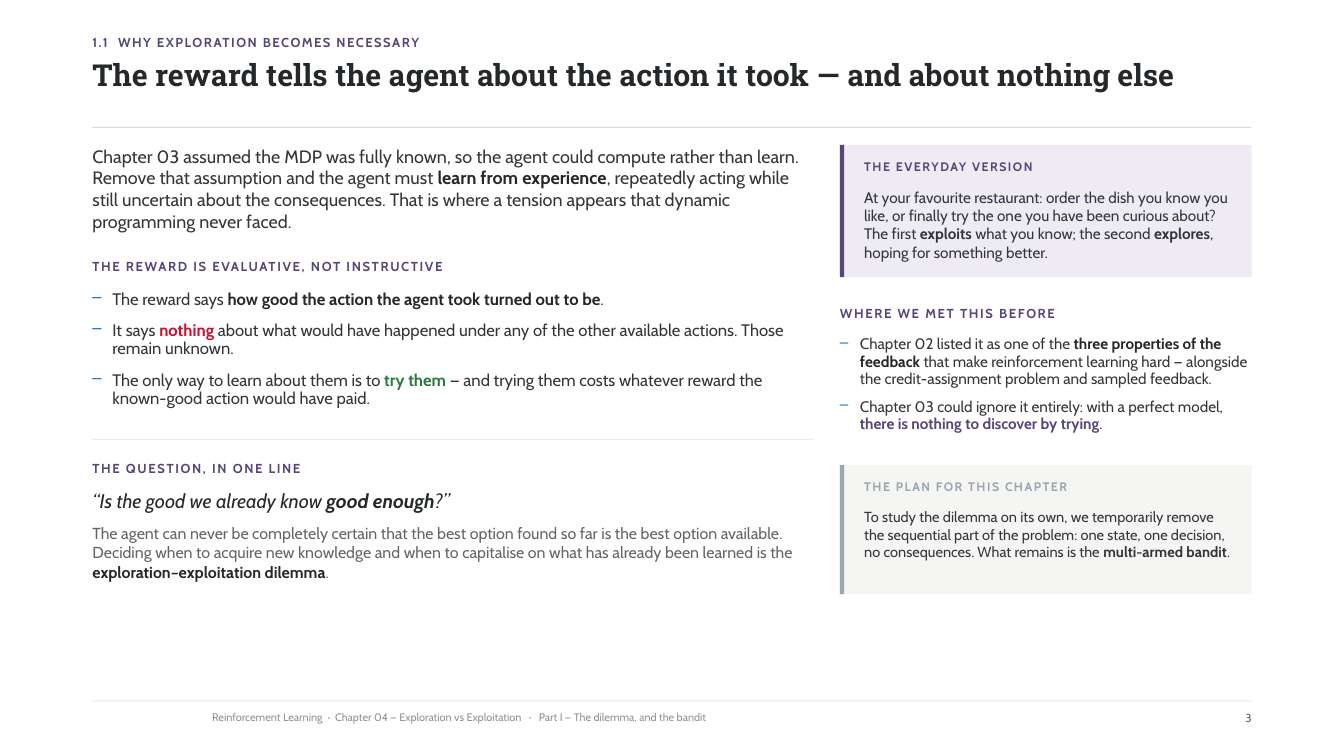
from dataclasses import dataclass

from lxml import etree
from pptx import Presentation
from pptx.dml.color import RGBColor
from pptx.enum.shapes import MSO_SHAPE
from pptx.enum.text import MSO_ANCHOR, MSO_AUTO_SIZE, PP_ALIGN
from pptx.oxml.ns import qn
from pptx.util import Emu

RECT = MSO_SHAPE.RECTANGLE
TOP = MSO_ANCHOR.TOP
NO_FIT = MSO_AUTO_SIZE.NONE
LEFT, RIGHT = PP_ALIGN.LEFT, PP_ALIGN.RIGHT

PX = 9525  # EMU in one px, 96 px to the inch
POINT = 12700
TITLE_ONLY = 5

PURPLE = RGBColor(0x57, 0x46, 0x76)
LILAC = RGBColor(0xEE, 0xEB, 0xF2)
INK = RGBColor(0x25, 0x28, 0x2A)
BODY = RGBColor(0x33, 0x36, 0x39)
GREY = RGBColor(0x62, 0x66, 0x69)
FOOTER_GREY = RGBColor(0x8E, 0x92, 0x95)
SLATE = RGBColor(0x9A, 0xA6, 0xB2)
PALE = RGBColor(0xF5, 0xF5, 0xF3)
RULE = RGBColor(0xD9, 0xD9, 0xD6)
FAINT_RULE = RGBColor(0xE9, 0xE9, 0xE6)
RED = RGBColor(0xC8, 0x10, 0x2E)
GREEN = RGBColor(0x2B, 0x7A, 0x3E)
BLUE = RGBColor(0x19, 0x71, 0xC2)

# Column geometry, px
MARGIN, FULL_W, LEFT_W = 88, 1104, 687
SIDE_X, SIDE_W = 800, 392
BULLET_INDENT = 19


@dataclass(frozen=True)
class Style:
    size: float
    leading: float
    color: RGBColor = BODY
    bold: bool = False
    italic: bool = False
    tracking: float = 0
    font: str = "Cabin"
    align: PP_ALIGN = LEFT
    bullet: bool = False


@dataclass(frozen=True)
class Strong:
    text: str
    color: RGBColor = INK


@dataclass(frozen=True)
class Para:
    style: Style
    phrases: tuple[str | Strong, ...]
    before: float = 0


@dataclass(frozen=True)
class TextBlock:
    box: tuple[int, int, int, int]
    paras: tuple[Para, ...]


@dataclass(frozen=True)
class Card:
    y: int
    h: int
    fill: RGBColor
    accent: RGBColor
    heading: str
    text: Para


TITLE = Style(21.6, 22.5, INK, bold=True, font="Roboto Slab")
KICKER = Style(9.3, 9.3, PURPLE, bold=True, tracking=1.1)
HEADING = Style(9.3, 9.3, PURPLE, bold=True, tracking=1.2)
FOOTER = Style(7.8, 7.8, FOOTER_GREY)
PAGE_NO = Style(8.3, 8.3, GREY, align=RIGHT)
INTRO = Style(12.8, 15.6)
POINTS = Style(11.9, 13.3, bullet=True)
SIDE_POINTS = Style(10.9, 12.2, bullet=True)
QUOTE = Style(14.1, 16.6, INK, italic=True)
ANSWER = Style(11.4, 13.7, GREY)

BLOCKS = (
    TextBlock((MARGIN, 35, FULL_W, 21), (Para(KICKER, ("1.1  WHY EXPLORATION BECOMES NECESSARY",)),)),
    TextBlock((202, 679, 874, 21), (Para(FOOTER, (
        "Reinforcement Learning  ·  Chapter 04 — Exploration vs Exploitation   ·   "
        "Part I — The dilemma, and the bandit",)),)),
    TextBlock((1077, 679, 115, 21), (Para(PAGE_NO, ("3",)),)),
    TextBlock((MARGIN, 138, LEFT_W, 87), (Para(INTRO, (
        "Chapter 03 assumed the MDP was fully known, so the agent could compute rather than learn. "
        "Remove that assumption and the agent must ", Strong("learn from experience"),
        ", repeatedly acting while still uncertain about the consequences. "
        "That is where a tension appears that dynamic programming never faced.")),)),
    TextBlock((MARGIN, 249, 576, 19), (Para(HEADING, ("THE REWARD IS EVALUATIVE, NOT INSTRUCTIVE",)),)),
    TextBlock((MARGIN, 276, LEFT_W, 117), (
        Para(POINTS, ("The reward says ",
                      Strong("how good the action the agent took turned out to be"), ".")),
        Para(POINTS, ("It says ", Strong("nothing", RED),
                      " about what would have happened under any of the other available actions. "
                      "Those remain unknown."), 9),
        Para(POINTS, ("The only way to learn about them is to ", Strong("try them", GREEN),
                      " — and trying them costs whatever reward the known-good action "
                      "would have paid."), 9))),
    TextBlock((MARGIN, 441, 576, 19), (Para(HEADING, ("THE QUESTION, IN ONE LINE",)),)),
    TextBlock((MARGIN, 466, LEFT_W, 91), (
        Para(QUOTE, ("“Is the good we already know ", Strong("good enough"), "?”")),
        Para(ANSWER, (
            "The agent can never be completely certain that the best option found so far is the best "
            "option available. Deciding when to acquire new knowledge and when to capitalise on what "
            "has already been learned is the ", Strong("exploration–exploitation dilemma"), "."), 8))),
    TextBlock((SIDE_X, 293, SIDE_W, 19), (Para(HEADING, ("WHERE WE MET THIS BEFORE",)),)),
    TextBlock((SIDE_X, 320, SIDE_W, 97), (
        Para(SIDE_POINTS, ("Chapter 02 listed it as one of the ",
                           Strong("three properties of the feedback"),
                           " that make reinforcement learning hard — alongside the "
                           "credit-assignment problem and sampled feedback.")),
        Para(SIDE_POINTS, ("Chapter 03 could ignore it entirely: with a perfect model, ",
                           Strong("there is nothing to discover by trying", PURPLE), "."), 8))),
)

CARDS = (
    Card(138, 126, LILAC, PURPLE, "THE EVERYDAY VERSION", Para(Style(10.9, 13.1), (
        "At your favourite restaurant: order the dish you know you like, or finally try the one "
        "you have been curious about? The first ", Strong("exploits", BODY),
        " what you know; the second ", Strong("explores", BODY), ", hoping for something better."))),
    Card(443, 123, PALE, SLATE, "THE PLAN FOR THIS CHAPTER", Para(Style(10.4, 12.5), (
        "To study the dilemma on its own, we temporarily remove the sequential part of the problem: "
        "one state, one decision, no consequences. What remains is the ",
        Strong("multi-armed bandit", BODY), "."))),
)


def px(n: int) -> Emu:
    return Emu(n * PX)


def pt(n: float) -> Emu:
    return Emu(round(n * POINT))


def apply(target, values: dict) -> None:
    for name, value in values.items():
        setattr(target, name, value)


def add_bullet(p) -> None:
    pPr = p._p.get_or_add_pPr()
    pPr.set("marL", str(px(BULLET_INDENT)))
    pPr.set("indent", str(-px(BULLET_INDENT)))
    color = etree.SubElement(pPr, qn("a:buClr"))
    etree.SubElement(color, qn("a:srgbClr")).set("val", str(BLUE))
    etree.SubElement(pPr, qn("a:buChar")).set("char", "–")


def write(tf, paras: tuple[Para, ...]) -> None:
    apply(tf, dict(word_wrap=True, auto_size=NO_FIT, vertical_anchor=TOP,
                   margin_left=0, margin_right=0, margin_top=0, margin_bottom=0))
    for i, para in enumerate(paras):
        style = para.style
        p = tf.add_paragraph() if i else tf.paragraphs[0]
        if style.bullet:
            add_bullet(p)
        apply(p, dict(alignment=style.align, line_spacing=pt(style.leading),
                      space_before=pt(para.before)))
        for phrase in para.phrases:
            strong = isinstance(phrase, Strong)
            r = p.add_run()
            r.text = phrase.text if strong else phrase
            apply(r.font, dict(name=style.font, size=pt(style.size),
                               bold=strong or style.bold, italic=style.italic))
            r.font.color.rgb = phrase.color if strong else style.color
            if style.tracking:
                r._r.get_or_add_rPr().set("spc", str(round(style.tracking * 100)))


def add_text(slide, block: TextBlock) -> None:
    write(slide.shapes.add_textbox(*map(px, block.box)).text_frame, block.paras)


def add_rect(slide, x: int, y: int, w: int, h: int, color: RGBColor) -> None:
    s = slide.shapes.add_shape(RECT, px(x), px(y), px(w), px(h))
    s.shadow.inherit = False
    s.fill.solid()
    s.fill.fore_color.rgb = color
    s.line.fill.background()


def add_card(slide, card: Card) -> None:
    add_rect(slide, SIDE_X, card.y, SIDE_W, card.h, card.fill)
    add_rect(slide, SIDE_X, card.y, 4, card.h, card.accent)
    heading = Style(8.8, 8.8, card.accent, bold=True, tracking=1.1)
    x = SIDE_X + 23
    add_text(slide, TextBlock((x, card.y + 16, 361, 19), (Para(heading, (card.heading,)),)))
    add_text(slide, TextBlock((x, card.y + 41, 351, card.h - 56), (card.text,)))


def main() -> None:
    prs = Presentation()
    prs.slide_width, prs.slide_height = px(1280), px(720)
    slide = prs.slides.add_slide(prs.slide_layouts[TITLE_ONLY])

    # Title
    title = slide.shapes.title
    apply(title, dict(left=px(MARGIN), top=px(58), width=px(FULL_W), height=px(50)))
    write(title.text_frame, (Para(TITLE, (
        "The reward tells the agent about the action it took — and about nothing else",)),))

    # Rules
    for y, width, color in ((121, FULL_W, RULE), (418, LEFT_W, FAINT_RULE), (667, FULL_W, FAINT_RULE)):
        add_rect(slide, MARGIN, y, width, 1, color)

    # Text and side cards
    for block in BLOCKS:
        add_text(slide, block)
    for card in CARDS:
        add_card(slide, card)

    prs.save("out.pptx")


if __name__ == "__main__":
    main()
